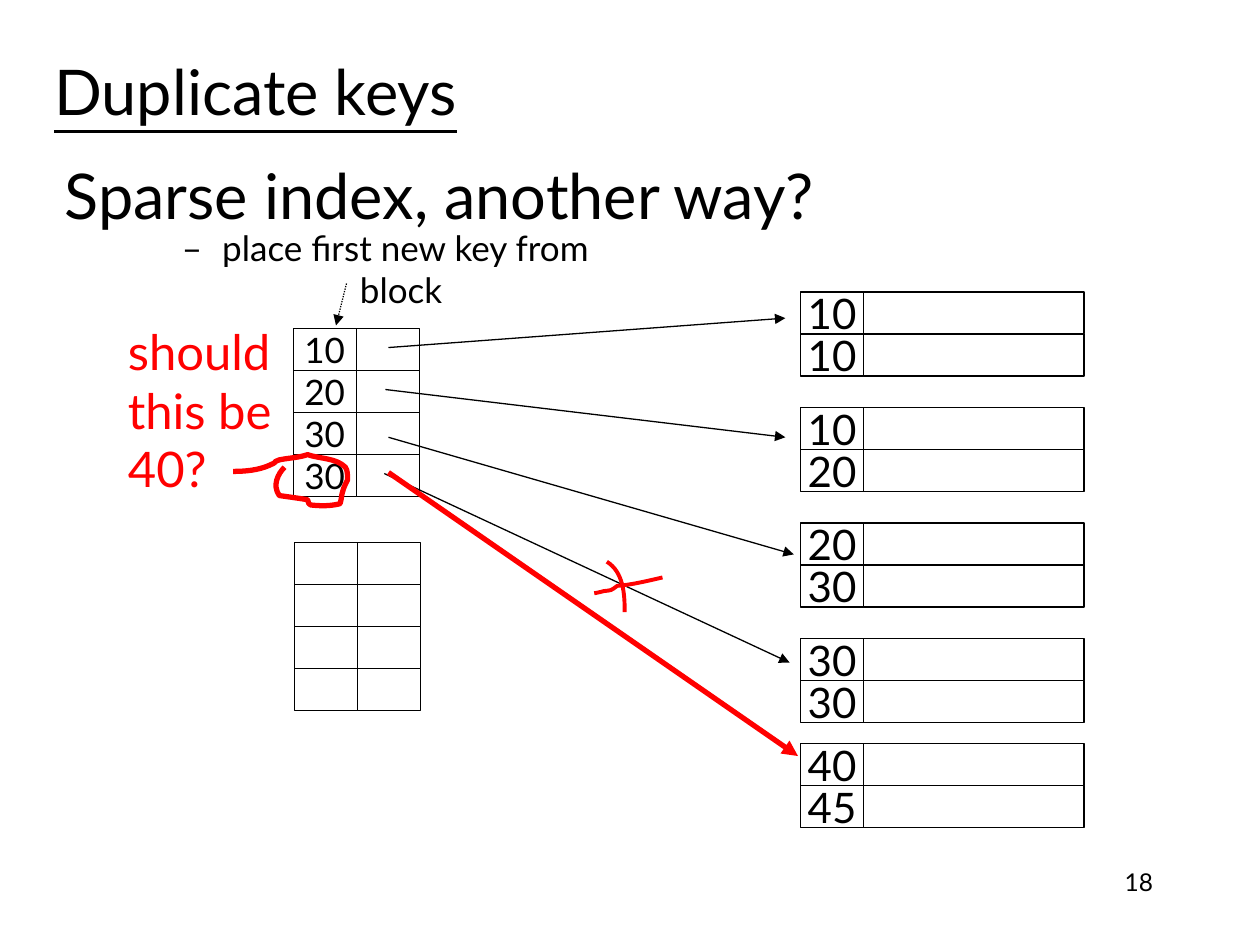
"""Build the slide on duplicate keys in a sparse index, laid out on a 120 by 90 grid."""
from dataclasses import dataclass
from typing import Any, Optional

from lxml.etree import SubElement
from pptx import Presentation
from pptx.dml.color import RGBColor as RGB
from pptx.enum.dml import MSO_LINE_DASH_STYLE as DASH
from pptx.enum.shapes import MSO_CONNECTOR as CONN, MSO_SHAPE as SHAPE
from pptx.enum.text import MSO_ANCHOR as ANCHOR, PP_ALIGN as ALIGN
from pptx.oxml.ns import qn
from pptx.util import Emu, Inches, Pt

COLORS = {"ink": "000000", "paper": "FFFFFF", "mark": "FF0000"}
FONT = "Lato"
COLS, ROWS = 120, 90
ROW_H, KEY_W = 4, 6
Point = tuple[float, float]

prs = Presentation()
prs.slide_width, prs.slide_height = Inches(10), Inches(7.5)
s = prs.slides.add_slide(prs.slide_layouts[6])


@dataclass
class Block:
    left: float
    top: float
    keys: tuple[str, ...]
    value_w: float
    size: int


@dataclass
class Label:
    box: tuple[float, float, float, float]
    lines: tuple[str, ...]
    size: int
    color: str = "ink"
    align: ALIGN = ALIGN.LEFT
    anchor: ANCHOR = ANCHOR.MIDDLE
    wrap: bool = True
    underline: bool = False
    bullet: Optional[str] = None


@dataclass
class Arrow:
    start: Point
    end: Point
    color: str = "ink"
    width: float = 0.75
    dash: Optional[DASH] = None


@dataclass
class Stroke:
    start: Point
    curves: tuple[tuple[Point, Point, Point], ...]
    width: float


def gx(cols: float) -> Emu:
    return Emu(round(prs.slide_width * cols / COLS))


def gy(rows: float) -> Emu:
    return Emu(round(prs.slide_height * rows / ROWS))


def rgb(name: str) -> RGB:
    return RGB.from_string(COLORS[name])


def apply(target: Any, values: dict[str, Any]) -> None:
    for name, value in values.items():
        setattr(target, name, value)


def set_line(line: Any, color: str, width: float) -> None:
    line.color.rgb = rgb(color)
    line.width = Pt(width)


def write(p: Any, text: str, size: int, color: str, underline: bool = False) -> None:
    r = p.add_run()
    r.text = text
    apply(r.font, {"name": FONT, "size": Pt(size), "underline": underline})
    r.font.color.rgb = rgb(color)


def draw_cell(left: float, top: float, width: float, text: str, size: int) -> None:
    sp = s.shapes.add_shape(SHAPE.RECTANGLE, gx(left), gy(top), gx(width), gy(ROW_H))
    sp.shadow.inherit = False
    sp.fill.solid()
    sp.fill.fore_color.rgb = rgb("paper")
    set_line(sp.line, "ink", 0.75)
    if text:
        tf = sp.text_frame
        apply(tf, {"word_wrap": False, "vertical_anchor": ANCHOR.MIDDLE})
        tf.paragraphs[0].alignment = ALIGN.CENTER
        write(tf.paragraphs[0], text, size, "ink")


def draw_block(block: Block) -> None:
    for i, key in enumerate(block.keys):
        top = block.top + i * ROW_H
        draw_cell(block.left, top, KEY_W, key, block.size)
        draw_cell(block.left + KEY_W, top, block.value_w, "", block.size)


def draw_label(label: Label) -> None:
    x, y, w, h = label.box
    tf = s.shapes.add_textbox(gx(x), gy(y), gx(w), gy(h)).text_frame
    apply(tf, {"word_wrap": label.wrap, "vertical_anchor": label.anchor})
    for i, line in enumerate(label.lines):
        p = tf.add_paragraph() if i else tf.paragraphs[0]
        p.alignment = label.align
        if label.bullet:
            apply(tf, {"margin_left": gx(2.4), "margin_right": gx(2.4)})
            pPr = p._p.get_or_add_pPr()
            pPr.set("marL", str(gx(3)))
            pPr.set("indent", str(-gx(3)))
            SubElement(pPr, qn("a:buFont")).set("typeface", FONT)
            SubElement(pPr, qn("a:buChar")).set("char", label.bullet)
        write(p, line, label.size, label.color, label.underline)


def draw_arrow(arrow: Arrow) -> None:
    (x1, y1), (x2, y2) = arrow.start, arrow.end
    c = s.shapes.add_connector(CONN.STRAIGHT, gx(x1), gy(y1), gx(x2), gy(y2))
    set_line(c.line, arrow.color, arrow.width)
    if arrow.dash:
        c.line.dash_style = arrow.dash
    SubElement(c.line._get_or_add_ln(), qn("a:tailEnd")).set("type", "triangle")
    SubElement(c._element.spPr, qn("a:effectLst"))


def bend(outline: Any) -> None:
    segments = outline.findall(qn("a:lnTo"))
    for i in range(0, len(segments), 3):
        curve = SubElement(outline, qn("a:cubicBezTo"))
        for segment in segments[i:i + 3]:
            curve.append(segment[0])
            outline.remove(segment)


def draw_stroke(stroke: Stroke) -> None:
    fb = s.shapes.build_freeform(gx(stroke.start[0]), gy(stroke.start[1]))
    points = [(gx(x), gy(y)) for curve in stroke.curves for x, y in curve]
    fb.add_line_segments(points, close=False)
    sp = fb.convert_to_shape()
    bend(next(sp._element.iter(qn("a:path"))))
    sp.shadow.inherit = False
    sp.fill.background()
    set_line(sp.line, "mark", stroke.width)


DATA = (("10", "10"), ("10", "20"), ("20", "30"), ("30", "30"), ("40", "45"))
TOPS = [27.8 + 11 * i for i in range(4)] + [70.8]
BLOCKS = [Block(76.25, top, keys, 21, 24) for top, keys in zip(TOPS, DATA)] + [
    Block(27.93, 31.3, ("10", "20", "30", "30"), KEY_W, 20),
    Block(28.05, 51.65, ("",) * 4, KEY_W, 20),
]
LABELS = [
    Label((86, 82, 25, 6), ("18",), 14, align=ALIGN.RIGHT, anchor=ANCHOR.TOP),
    Label((5, 11, 102, 15), ("Sparse index, another way?",), 36),
    Label((4, 4, 44, 9.2), ("Duplicate keys",), 36, underline=True),
    Label((12, 23, 49.4, 5.2), (" place first new key from block",), 20,
          align=ALIGN.CENTER, bullet="–"),
    Label((11, 30, 16.2, 18), ("should", "this be", "40?"), 28, "mark", wrap=False),
]
ARROWS = [
    Arrow((37, 33.1), (74.8, 30.3)),
    Arrow((36.7, 37.1), (74.8, 41.65)),
    Arrow((37, 41.65), (75.6, 52.8)),
    Arrow((36.6, 45.1), (75.2, 63.1)),
    Arrow((33, 27), (32, 31), dash=DASH.ROUND_DOT),
    Arrow((37, 45), (76, 72), "mark", 3),
]
KEY_LOOP = Stroke((27.1, 44.5), (
    ((26.5, 45.1), (25.9, 46.2), (26.6, 47.2)), ((26.6, 47.2), (28.8, 47.5), (29.3, 47.6)),
    ((29.4, 47.9), (29.4, 48.1), (29.6, 48.1)), ((30.6, 48.2), (31.4, 48.2), (32.3, 48)),
    ((32.5, 48), (32.4, 47.6), (32.5, 47.5)), ((32.6, 46.7), (32.8, 46.3), (33.1, 45.7)),
    ((33.1, 45.2), (33.1, 44.8), (32.9, 44.5)), ((32, 43.6), (30.4, 43.7), (29.3, 43.3)),
    ((28.4, 43.6), (27.6, 43.6), (26.6, 43.8)), ((25.6, 44.2), (26.8, 43.8), (25.7, 44.3)),
    ((24.6, 44.8), (23.3, 44.9), (22.2, 44.9))), 3)
CROSS = [
    Stroke((63.1, 55), (
        ((61.8, 55.3), (60.2, 55.7), (58.8, 55.8)), ((58.1, 56.3), (58.3, 56.2), (57.5, 56.3)),
        ((57.2, 56.4), (56.6, 56.5), (56.6, 56.5))), 2.25),
    Stroke((57.8, 53.5), (((59.4, 54.5), (59.5, 56.6), (59.5, 58.3)),), 2.25),
]

for draw, items in ((draw_block, BLOCKS), (draw_label, LABELS),
                    (draw_arrow, ARROWS), (draw_stroke, [KEY_LOOP, *CROSS])):
    for item in items:
        draw(item)
prs.save("out.pptx")
